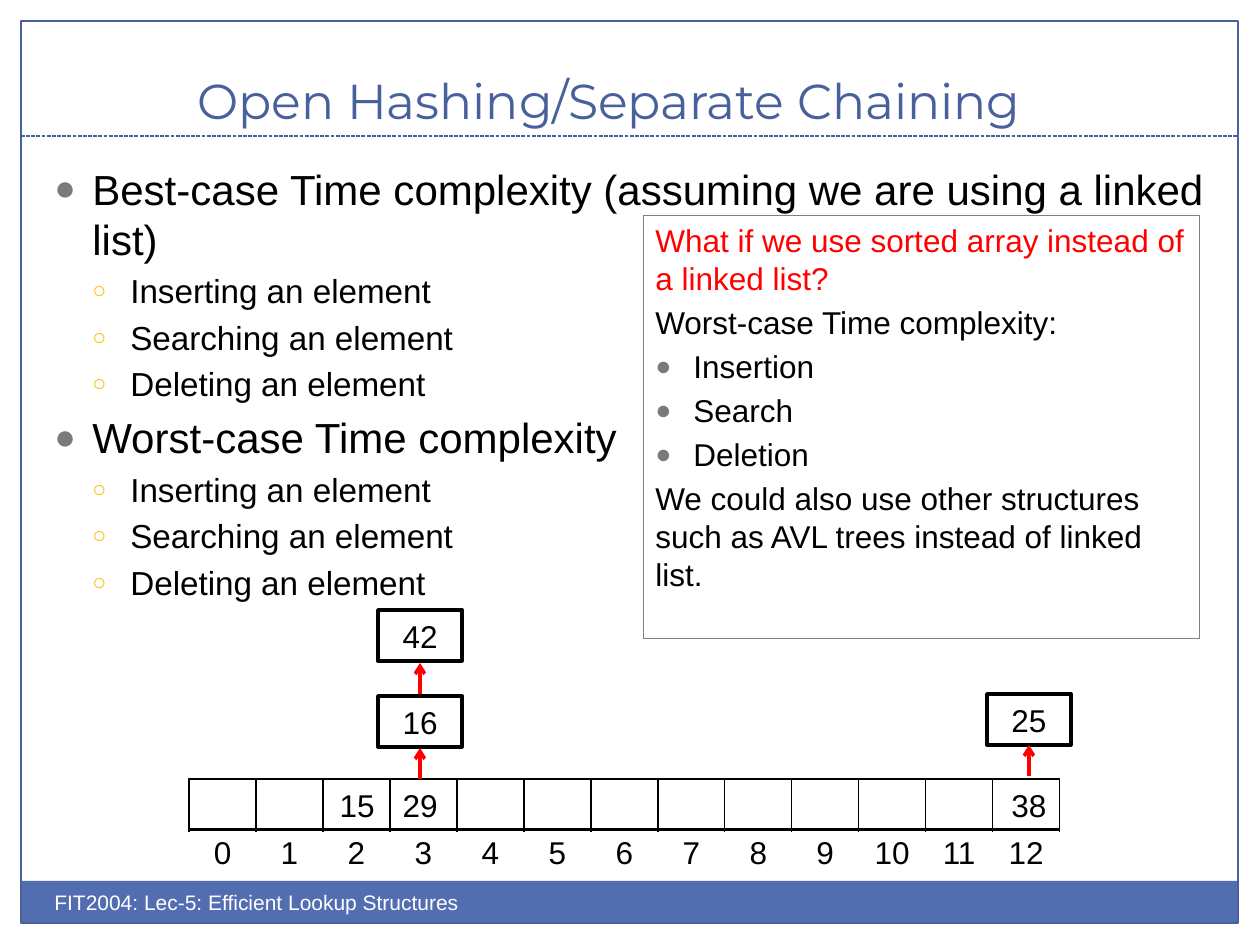
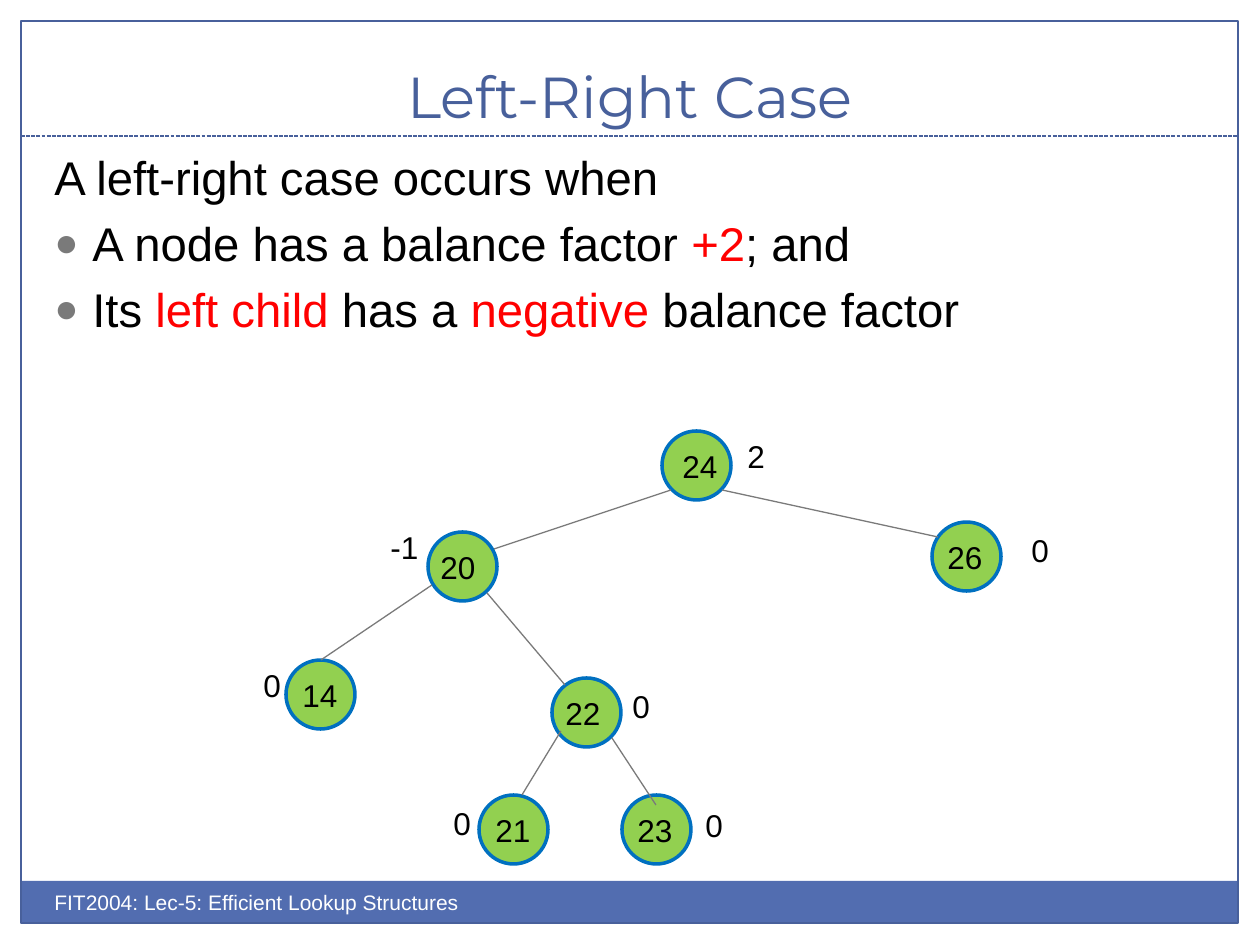
from lxml import etree
from pptx import Presentation
from pptx.dml.color import RGBColor
from pptx.enum.dml import MSO_LINE
from pptx.enum.shapes import MSO_CONNECTOR, MSO_SHAPE
from pptx.enum.text import MSO_ANCHOR, MSO_AUTO_SIZE, PP_ALIGN
from pptx.oxml.ns import qn
from pptx.util import Emu, Pt

RECT, OVAL = MSO_SHAPE.RECTANGLE, MSO_SHAPE.OVAL
STRAIGHT, DASH = MSO_CONNECTOR.STRAIGHT, MSO_LINE.SQUARE_DOT
TOP, MIDDLE, BOTTOM = MSO_ANCHOR.TOP, MSO_ANCHOR.MIDDLE, MSO_ANCHOR.BOTTOM
LEFT, CENTER = PP_ALIGN.LEFT, PP_ALIGN.CENTER
PIXEL = 914400 // 126

BLUE, BAND, BLACK, WHITE, RED = "48609B", "526DB0", "000000", "FFFFFF", "FF0000"
GREY, GOLD, GREEN, RING = "7A7A7A", "F5C201", "92D050", "0070C0"
BODY_FONT, TITLE_FONT = "Arial", "Montserrat"
FOOTER = "FIT2004: Lec-5: Efficient Lookup Structures"

# Bullet styles: character, colour, size in percent, indent in pixels
DOT = ("●", GREY, 85, 38)
RING_BULLET = ("○", GOLD, 70, 76)

# Content of the hashing slide: (text, size, bullet)
OPERATIONS = [(f"{verb} an element", 19, RING_BULLET)
              for verb in ("Inserting", "Searching", "Deleting")]
COMPLEXITY = [
    ("Best-case Time complexity (assuming we are using a linked list)", 24, DOT),
    *OPERATIONS,
    ("Worst-case Time complexity", 24, DOT),
    *OPERATIONS,
]
ALTERNATIVE = [
    ([("What if we use sorted array instead of a linked list?", RED)], 18, None),
    ("Worst-case Time complexity:", 18, None),
    ("Insertion", 18, DOT),
    ("Search", 18, DOT),
    ("Deletion", 18, DOT),
    ("We could also use other structures such as AVL trees instead of linked list.",
     18, None),
]
SLOTS = 13
SLOT_VALUES = [("15", 315, 779), ("29", 378, 779), ("38", 987, 779)]
CHAINED_VALUES = [("16", 378, 696), ("42", 378, 610), ("25", 987, 694)]
CHAIN_ARROWS = [(420, 779), (420, 694), (1029, 776)]  # x and lower end

# Content of the tree slide
CASE = [
    ("A left-right case occurs when", 27, None),
    ([("A node has a balance factor ", BLACK), ("+2", RED), ("; and", BLACK)], 27, DOT),
    ([("Its ", BLACK), ("left child ", RED), ("has a ", BLACK),
      ("negative ", RED), ("balance factor", BLACK)], 27, DOT),
]
# key, circle left and top, key offset, balance factor with its left and top
TREE_NODES = [
    ("24", 662, 431, 8, "2", 735, 431),
    ("20", 428, 532, 0, "-1", 378, 522),
    ("26", 932, 522, 3, "0", 1019, 525),
    ("14", 286, 660, 4, "0", 251, 660),
    ("22", 552, 678, 1, "0", 620, 681),
    ("21", 479, 795, 4, "0", 441, 798),
    ("23", 622, 795, 3, "0", 693, 800),
]
TREE_EDGES = [
    (671, 490, 494, 549), (722, 490, 938, 537), (432, 585, 321, 660),
    (487, 593, 565, 685), (561, 731, 522, 795), (612, 738, 656, 805),
]


def px(*lengths):
    return [Emu(round(length * PIXEL)) for length in lengths]


def color(value):
    return RGBColor.from_string(value)


def add_xml(parent, tag, **attributes):
    return etree.SubElement(parent, qn(tag), attributes)


def set_font(font, size, value=BLACK, name=BODY_FONT):
    font.size, font.name, font.bold = Pt(size), name, False
    font.color.rgb = color(value)


def add_box(page, kind, place, fill=None, line=None, width=0.75):
    box = page.shapes.add_shape(kind, *px(*place))
    box.shadow.inherit = False
    if fill:
        box.fill.solid()
        box.fill.fore_color.rgb = color(fill)
    else:
        box.fill.background()
    if line:
        box.line.color.rgb = color(line)
        box.line.width = Pt(width)
    else:
        box.line.fill.background()
    return box


def add_line(page, ends, value, width=0.75, arrow=False):
    line = page.shapes.add_connector(STRAIGHT, *px(*ends))
    line.line.color.rgb = color(value)
    line.line.width = Pt(width)
    if arrow:
        add_xml(line.line._get_or_add_ln(), "a:tailEnd", type="arrow")
    add_xml(line._element.spPr, "a:effectLst")
    return line


def set_label(box, text, size=18, value=BLACK, align=CENTER, anchor=MIDDLE, wrap=True):
    frame = box.text_frame
    frame.word_wrap, frame.vertical_anchor = wrap, anchor
    para = frame.paragraphs[0]
    para.text, para.alignment = text, align
    set_font(para.font, size, value)


def add_label(page, place, text, **style):
    set_label(page.shapes.add_textbox(*px(*place)), text, **style)


def set_bullet(para, bullet):
    character, value, percent, indent = bullet
    properties = para._p.get_or_add_pPr()
    properties.set("marL", str(indent * PIXEL))
    properties.set("indent", str(-38 * PIXEL))
    add_xml(add_xml(properties, "a:buClr"), "a:srgbClr", val=value)
    add_xml(properties, "a:buSzPct", val=str(percent * 1000))
    add_xml(properties, "a:buFont", typeface=BODY_FONT)
    add_xml(properties, "a:buChar", char=character)


def fill_text(box, items):
    frame = box.text_frame
    frame.word_wrap, frame.vertical_anchor = True, TOP
    for number, (content, size, bullet) in enumerate(items):
        para = frame.add_paragraph() if number else frame.paragraphs[0]
        para.alignment, para.space_before = LEFT, Pt(size * 0.2)
        if bullet:
            para.level = 1 if bullet is RING_BULLET else 0
            set_bullet(para, bullet)
        set_font(para.font, size)
        runs = [(content, BLACK)] if isinstance(content, str) else content
        for text, value in runs:
            span = para.add_run()
            span.text = text
            span.font.color.rgb = color(value)


def add_page(deck, title, size, place):
    page = deck.slides.add_slide(deck.slide_layouts[5])
    # Band, frame and dashed rule
    add_box(page, RECT, (21, 881, 1217, 43), fill=BAND)
    add_box(page, RECT, (21, 21, 1217, 902), line=BLUE)
    add_line(page, (21, 136, 1238, 136), BLUE).line.dash_style = DASH
    add_label(page, (42, 883, 630, 50), FOOTER, size=12, value=WHITE,
              align=LEFT, anchor=TOP)
    # Title
    heading = page.shapes.title
    heading.left, heading.top, heading.width, heading.height = px(*place)
    frame = heading.text_frame
    frame.text = title
    frame.auto_size, frame.vertical_anchor = MSO_AUTO_SIZE.NONE, BOTTOM
    frame.paragraphs[0].alignment = CENTER
    set_font(frame.paragraphs[0].font, size, BLUE, TITLE_FONT)
    return page


def add_row(page, top, texts, borders):
    shape = page.shapes.add_table(1, len(texts), *px(189, top, 67 * len(texts), 51))
    table = shape.table
    table.first_row = table.horz_banding = False
    for column in table.columns:
        column.width = px(67)[0]
    for cell, text in zip(table.iter_cells(), texts):
        cell.margin_left = cell.margin_right = 0
        para = cell.text_frame.paragraphs[0]
        para.text, para.alignment = text, CENTER
        set_font(para.font, 18)
        properties = cell._tc.get_or_add_tcPr()
        for side, width in zip("LRTB", borders):
            edge = add_xml(properties, f"a:ln{side}", w=str(Pt(width)))
            if width:
                add_xml(add_xml(edge, "a:solidFill"), "a:srgbClr", val=BLACK)
            else:
                add_xml(edge, "a:noFill")
        cell.fill.background()


deck = Presentation()
deck.slide_width, deck.slide_height = px(1260, 945)

# Slide 1: hash table with chains
page = add_page(deck, "Open Hashing/Separate Chaining", 28, (-10, 32, 1238, 104))
fill_text(page.shapes.add_textbox(*px(42, 157, 1197, 515)), COMPLEXITY)
add_row(page, 779, [""] * SLOTS, (1, 1, 1, 2))
add_row(page, 830, [str(index) for index in range(SLOTS)], (0, 0, 0, 0))
for value, left, top in SLOT_VALUES:
    add_label(page, (left, top, 84, 51), value)
for value, left, top in CHAINED_VALUES:
    set_label(add_box(page, RECT, (left, top, 84, 51), line=BLACK, width=2), value)
for x, bottom in CHAIN_ARROWS:
    add_line(page, (x, bottom, x, bottom - 31), RED, 2, arrow=True)
fill_text(add_box(page, RECT, (643, 215, 557, 424), fill=WHITE, line="808080", width=0.5),
          ALTERNATIVE)

# Slide 2: tree with balance factors
page = add_page(deck, "Left-Right Case", 33, (42, 32, 1176, 104))
fill_text(page.shapes.add_textbox(*px(42, 142, 1172, 630)), CASE)
plain = dict(align=LEFT, anchor=TOP, wrap=False)
for key, left, top, offset, balance, balance_left, balance_top in TREE_NODES:
    add_box(page, OVAL, (left, top, 69, 69), fill=GREEN, line=RING, width=2)
    add_label(page, (left + offset, top + 10, 60, 50), key, **plain)
    balance_width = 25 + 17 * len(balance)
    add_label(page, (balance_left, balance_top, balance_width, 50), balance, **plain)
for ends in TREE_EDGES:
    add_line(page, ends, GREY)

deck.save("out.pptx")
